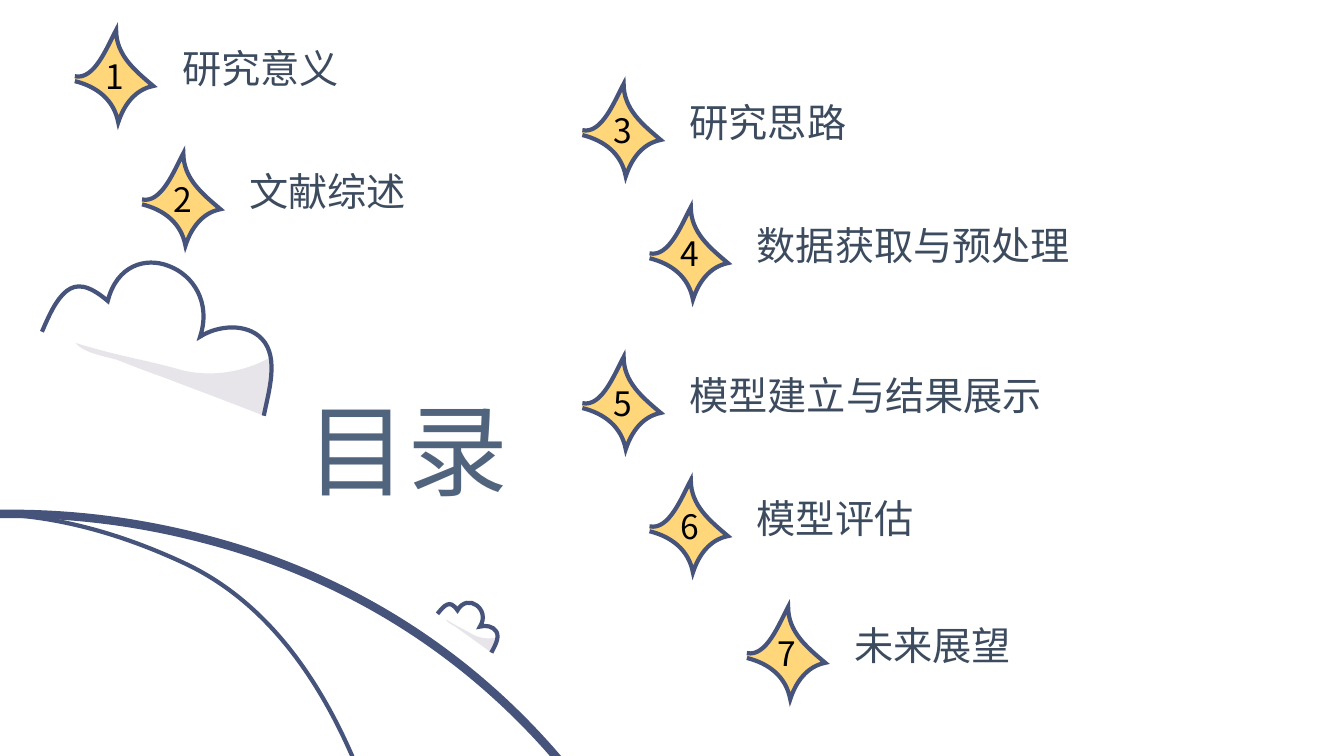
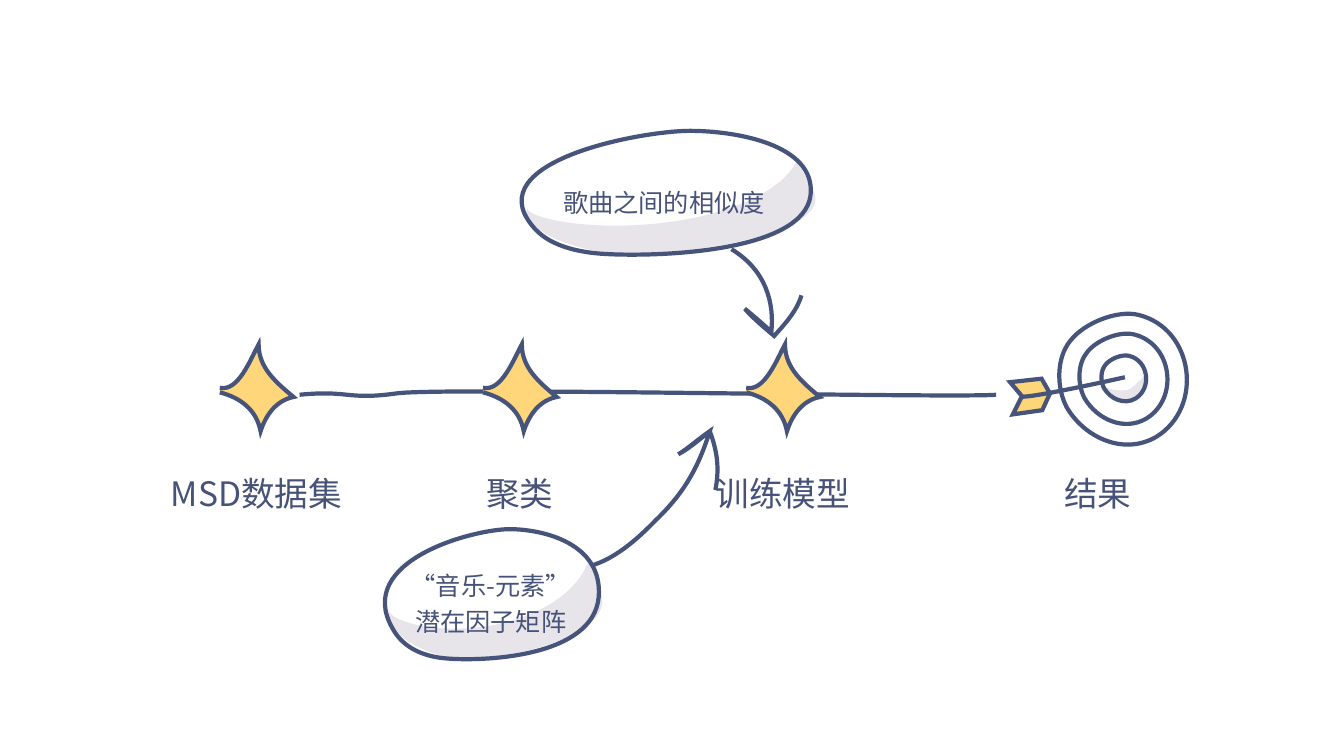
from math import cos, sin, radians
from lxml.etree import SubElement
from pptx import Presentation
from pptx.dml.color import RGBColor
from pptx.enum.text import MSO_ANCHOR, MSO_AUTO_SIZE, PP_ALIGN
from pptx.oxml.ns import qn
from pptx.util import Pt

# Shared style
FONT = "Noto Sans CJK JP"
INK, GOLD, ARROW, SHADE = "46537A", "FFD77A", "FDD67A", "E7E4EA"
TITLE, LABEL, NOTE, BLACK = "51647E", "3D4B5F", "475278", "000000"

# Outlines: a start point, then three points for each curve
STAR = [(0, 33), (14, 36), (23, 12), (29.5, 0), (29.5, 18), (43, 29), (56, 40),
        (43, 42.5), (35, 53.5), (31, 66), (28, 50), (16, 40.5), (0, 36.5)]
CLOUD = [(0, 0), (5, -11.5), (10, -23), (17.5, -29), (24.5, -34.5), (33, -34),
         (47, -22), (53.5, -47.5), (74, -53.5), (90.5, -47), (108, -40.5),
         (121, -21), (113, 3.5), (125.5, -4.5), (146, -6.5), (157, 5),
         (170, 18.5), (161.5, 44), (158.5, 60)]
CLOUD_SHADE = [(24, 8), (54.5, 17.5), (78.5, 21), (100, 27.5), (121, 32.5),
               (143.5, 29), (162, 19), (166.5, 27.5), (158.5, 60), (158.5, 60),
               (134.5, 50.5), (111.5, 42), (88, 33), (76.5, 29), (65, 24.5),
               (53.5, 20), (44.5, 17.5), (29.5, 15), (24, 8)]
BUBBLE = [(121, 0), (86, 0), (-29.5, 21.5), (8, 67.5), (19, 82), (41, 87),
          (61, 88), (97, 90), (202, 87), (207, 46), (211, 9.5), (153, 0),
          (121, 0)]
BUBBLE_SHADE = [(183.5, 37.5), (163, 54), (128, 62.5), (103, 65.5), (45, 72.5),
                (2, 61), (4.5, 54.5), (-1.5, 72.5), (44.5, 85.5), (62, 87),
                (101.5, 88.5), (138, 85), (175.5, 74), (188, 70.5),
                (204.5, 63.5), (209.5, 53.5), (215, 42), (195, 25), (198, 20),
                (195, 26.5), (190, 32.5), (183.5, 37.5)]
RING = [(-41, 21), (-28, 43), (0, 55.5), (23, 42), (57, 21), (50, -35),
        (10.5, -45), (-5, -49), (-29, -39), (-38.5, -26.5), (-48.5, -14.5),
        (-48.5, 7), (-41, 21)]
RING_SHADE = [(790, 277), (790, 281), (796.5, 284), (798.5, 286), (803, 287.5),
              (808, 286.5), (811.5, 284.5), (816.5, 281.5), (823, 272),
              (819.5, 266.5), (815, 270), (812, 275), (807, 278), (802, 280),
              (795.5, 278.5), (790, 277)]
FEATHER = [(730, 283), (721.5, 273), (744, 270.5), (750, 281), (744.5, 293),
           (723.5, 296)]
SHAFT = [(803.5, 269.5), (803.5, 269.5), (744, 283), (730, 283.5)]
HILL = [(467, 1256), (626, 950), (524, 480), (142, 384), (-260, 281.5),
        (-649, 662), (-597, 1048), (-529, 1541), (96, 1734.5), (409, 1345),
        (431, 1317), (451, 1287), (467, 1256)]
SLOPE = [(41, 1528.5), (315, 1439), (339, 993), (305, 754), (289, 636),
         (253, 458.5), (131, 402), (-252, 224), (-411, 771), (-386.5, 1032),
         (-368.5, 1229), (-210, 1610), (41, 1528.5)]
TRACK = [(214, 282), (250, 278.5), (247.5, 286), (283.5, 281), (317, 276.5),
         (679, 284.5), (711.5, 282)]
DOWN = [(522.5, 178), (548, 193.5), (553, 217.5), (551, 237), (544.5, 231),
        (538, 225.5), (532, 220.5), (538, 227.5), (546, 234), (553, 240),
        (561, 231), (569, 222.5), (572.5, 211)]
UP = [(422.5, 404), (438.5, 399), (453, 387.5), (468.5, 371.5), (485.5, 355),
      (497.5, 338.5), (507, 308), (501, 312), (490.5, 321), (484.5, 324.5),
      (492, 320.5), (499.5, 314), (507, 308), (512.5, 322.5), (514, 335),
      (511, 350)]

# Menu: label, left and top of its star
MENU = [("研究意义", 53.5, 21.5), ("文献综述", 101.5, 109.5),
        ("研究思路", 416, 60), ("数据获取与预处理", 464, 148),
        ("模型建立与结果展示", 416, 255), ("模型评估", 464, 343),
        ("未来展望", 533.5, 433.5)]
# Clouds: left, top, scale, turn
CLOUDS = [(30, 237, 1, 0), (312.5, 438.5, 0.28, 15)]
# Steps: label, left
STEPS = [("MSD数据集", 85), ("聚类", 273), ("训练模型", 461), ("结果", 686)]
# Bubbles: left, top, scales, text, text box, arrow
BUBBLES = [
    (372, 93.5, 1, 1, "歌曲之间的相似度", (376, 126, 196.5, 32.5), DOWN),
    (274.5, 378, 0.74, 1.05, "“音乐-元素”\n潜在因子矩阵",
     (277, 399.5, 147, 58.5), UP)]


def color(hue):
    return RGBColor.from_string(hue)


def trace(pts, count=12):
    """Points along a chain of cubic curves, to find its extent."""
    out = [pts[0]]
    for i in range(0, len(pts) - 1, 3):
        for k in range(1, count + 1):
            t = k / count
            u = 1 - t
            mix = (u**3, 3 * u * u * t, 3 * u * t * t, t**3)
            out.append(tuple(
                round(sum(m * p[j] for m, p in zip(mix, pts[i:i + 4])))
                for j in (0, 1)))
    return out


def curve(shape, pts, left, top):
    """Give a freeform true curves within its extent."""
    geom = next(shape.element.iter(qn("a:path")))
    for part in list(geom):
        geom.remove(part)
    groups = [("a:moveTo", pts[:1])]
    groups += [("a:cubicBezTo", pts[i:i + 3]) for i in range(1, len(pts), 3)]
    for tag, spots in groups:
        step = SubElement(geom, qn(tag))
        for x, y in spots:
            SubElement(step, qn("a:pt"), x=str(x - left), y=str(y - top))
    if pts[0] == pts[-1]:
        SubElement(geom, qn("a:close"))


def draw(slide, pts, x=0, y=0, sx=1, sy=None, turn=0, fill=None, line=3,
         bend=True):
    """Scale, turn and move an outline; line is its width, 0 for none."""
    sy = sy or sx
    c, s = cos(radians(turn)), sin(radians(turn))
    spots = [(Pt(x + c * sx * px - s * sy * py),
              Pt(y + s * sx * px + c * sy * py)) for px, py in pts]
    dots = trace(spots) if bend else spots
    pen = slide.shapes.build_freeform(*dots[0], scale=1.0)
    pen.add_line_segments(dots[1:], close=not bend)
    shape = pen.convert_to_shape()
    if bend:
        curve(shape, spots, *map(min, zip(*dots)))
    shape.shadow.inherit = False
    if fill:
        shape.fill.solid()
        shape.fill.fore_color.rgb = color(fill)
    else:
        shape.fill.background()
    if line:
        shape.line.width = Pt(line)
        shape.line.color.rgb = color(INK)
        edge = next(shape.element.iter(qn("a:ln")))
        SubElement(edge, qn("a:miter"), lim="800000")
    else:
        shape.line.fill.background()


def write(slide, text, box, size, ink, align=PP_ALIGN.LEFT, **frame):
    """Text box; frame holds further text frame settings."""
    tf = slide.shapes.add_textbox(*map(Pt, box)).text_frame
    look = {"word_wrap": False, "auto_size": MSO_AUTO_SIZE.SHAPE_TO_FIT_TEXT}
    for key, val in (look | frame).items():
        setattr(tf, key, val)
    for i, words in enumerate(text.split("\n")):
        para = tf.add_paragraph() if i else tf.paragraphs[0]
        para.alignment = align
        if tf.word_wrap:
            para.line_spacing = 1.2
        run = para.add_run()
        run.text = words
        for key, val in {"size": Pt(size), "name": FONT}.items():
            setattr(run.font, key, val)
        run.font.color.rgb = color(ink)
        SubElement(next(para.runs[0].font and run._r.iter(qn("a:rPr"))),
                   qn("a:ea"), typeface=FONT)


def note(slide, text, box, size):
    """Centred, wrapped text with narrow margins."""
    sides = ("left", "top", "right", "bottom")
    write(slide, text, box, size, NOTE, PP_ALIGN.CENTER, word_wrap=True,
          vertical_anchor=MSO_ANCHOR.MIDDLE,
          **{f"margin_{side}": Pt(3) for side in sides})


def agenda(slide):
    write(slide, "目录", (206.5, 273.5, 163.5, 94.5), 72, TITLE,
          PP_ALIGN.RIGHT)
    # Hills and clouds
    draw(slide, HILL, line=6)
    draw(slide, SLOPE)
    for x, y, size, turn in CLOUDS:
        draw(slide, CLOUD_SHADE, x, y, size, turn=turn, fill=SHADE, line=0)
        draw(slide, CLOUD, x, y, size, turn=turn)
    # Numbered stars
    for i, (label, x, y) in enumerate(MENU, 1):
        wide = 28 * len(label) + 14.4
        write(slide, label, (x + 69.5, y + 6.5, wide, 41), 28, LABEL)
        draw(slide, STAR, x, y, fill=GOLD)
        write(slide, str(i), (x + 15, y + 15, 26, 36), 24, BLACK)


def flow(slide):
    draw(slide, TRACK)
    # Target and arrow
    draw(slide, RING_SHADE, fill=SHADE, line=0)
    for size in (1, 0.69, 0.35):
        draw(slide, RING, 803, 270, size)
    draw(slide, FEATHER, fill=ARROW, bend=False)
    draw(slide, SHAFT)
    # Steps, a star for all but the last
    for label, x in STEPS:
        if label != STEPS[-1][0]:
            draw(slide, STAR, x + 72, 246, 0.94, fill=GOLD)
        note(slide, label, (x, 329, 196.5, 41), 24)
    # Bubbles
    for x, y, sx, sy, text, box, arrow in BUBBLES:
        draw(slide, BUBBLE_SHADE, x, y, sx, sy, fill=SHADE, line=0)
        draw(slide, BUBBLE, x, y, sx, sy)
        note(slide, text, box, 18)
        draw(slide, arrow)


def main():
    deck = Presentation()
    deck.slide_width, deck.slide_height = Pt(960), Pt(540)
    for build in (agenda, flow):
        build(deck.slides.add_slide(deck.slide_layouts[6]))
    deck.save("out.pptx")


if __name__ == "__main__":
    main()
